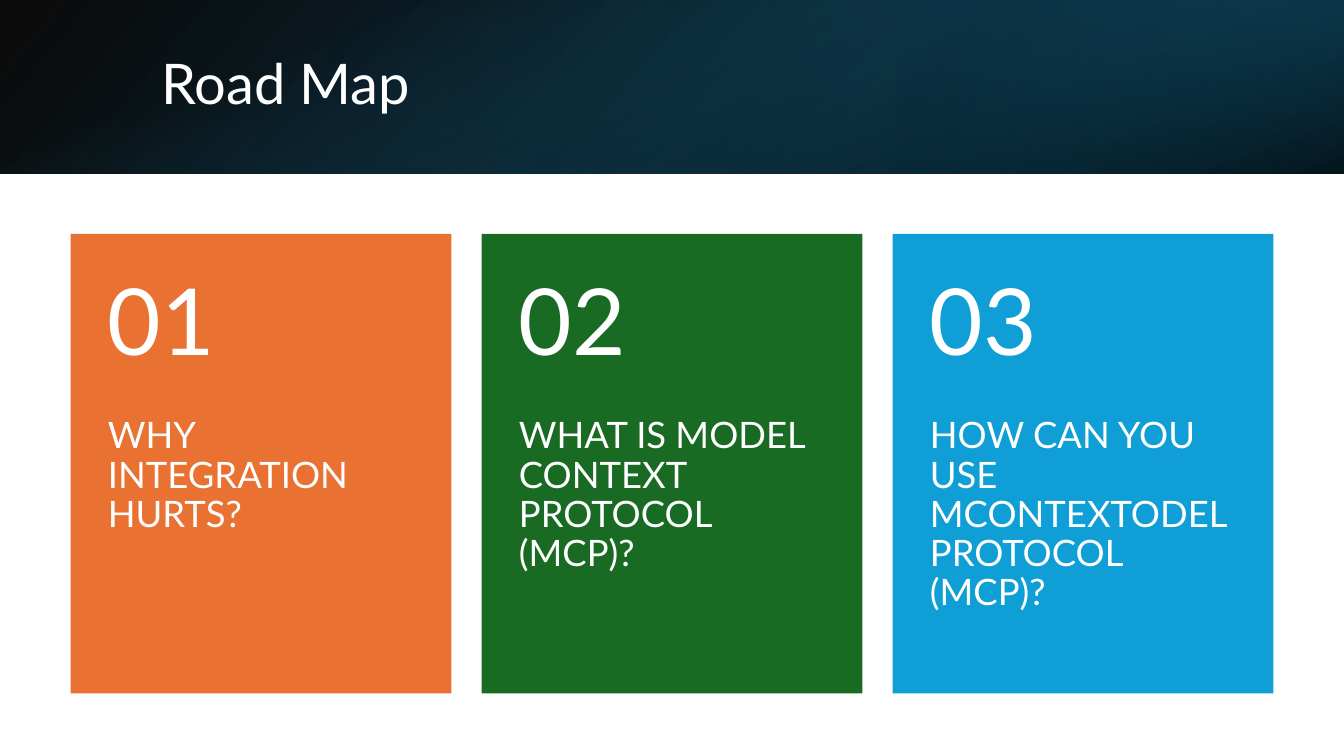
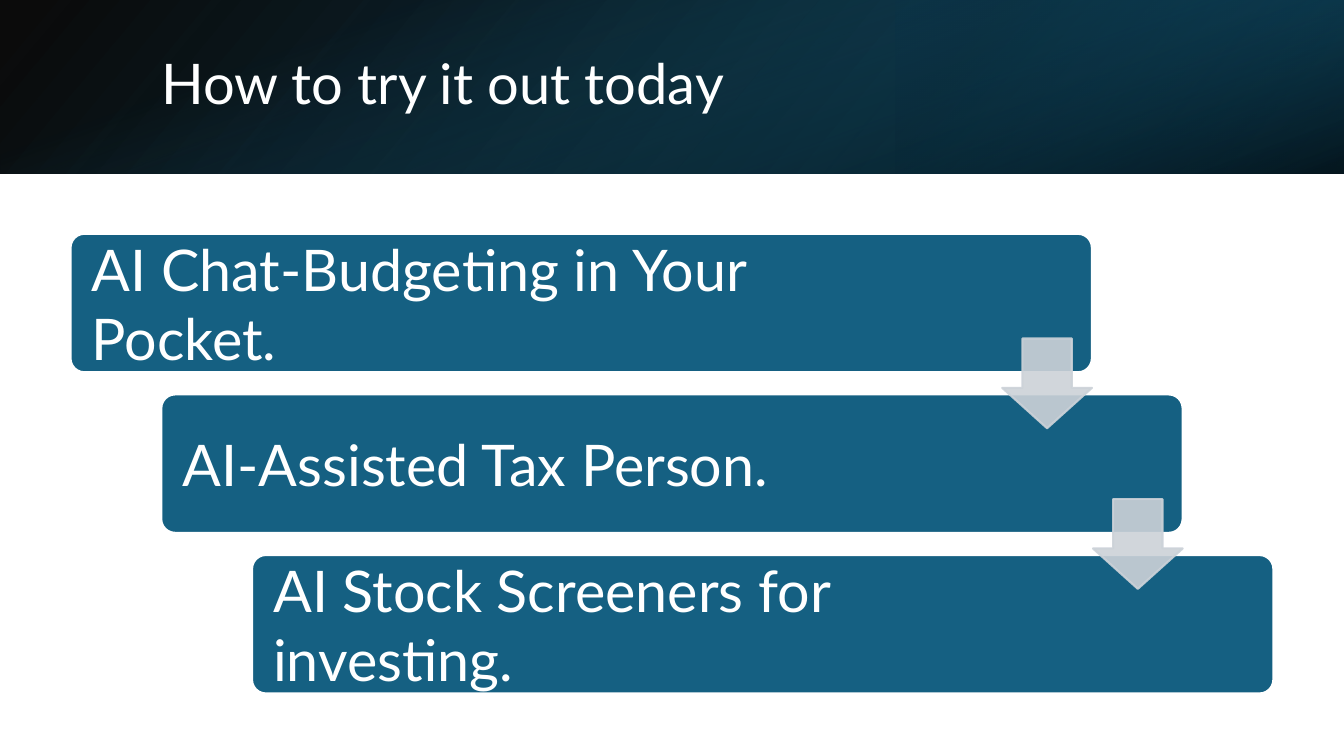
import pptx
import pptx.dml.color
import pptx.enum.shapes
import pptx.enum.text
import pptx.oxml
import pptx.oxml.ns
import pptx.util

SHAPE = pptx.enum.shapes.MSO_SHAPE
ANCHOR = pptx.enum.text.MSO_ANCHOR
ALIGN = pptx.enum.text.PP_ALIGN
inches = pptx.util.Inches

WIDTH, HEIGHT = 13.33, 7.5
BAND_HEIGHT = 0.23 * HEIGHT
MARGIN = 0.7
BODY_TOP, BODY_HEIGHT = 2.32, 4.56
USABLE = WIDTH - 2 * MARGIN
COUNT = 3
CARD_GAP, CARD_PAD, NUMBER_HEIGHT = 0.3, 0.37, 1.82
STEP_GAP, STEP_INDENT, STEP_PAD = 0.22, 0.9, 0.17
ARROW_SIZE = 0.89

FONT = "Lato"
WHITE, BLACK, TEAL, NAVY, DEEP = "FFFFFF", "000000", "156082", "0B3041", "104862"
ORANGE, GREEN, BLUE, GREY = "E97132", "196B24", "0F9ED5", "CCD2D8"

CARDS = [
    (ORANGE, "WHY INTEGRATION HURTS?"),
    (GREEN, "WHAT IS MODEL CONTEXT PROTOCOL (MCP)?"),
    (BLUE, "HOW CAN YOU USE MCONTEXTODEL PROTOCOL (MCP)?"),
]
STEPS = [
    "AI Chat-Budgeting in Your Pocket.",
    "AI-Assisted Tax Person.",
    "AI Stock Screeners for investing.",
]


def rgb(value):
    return pptx.dml.color.RGBColor.from_string(value)


def box(left, top, width, height):
    return [inches(v) for v in (left, top, width, height)]


def add_shape(s, kind, place, fill=None, line=None):
    sp = s.shapes.add_shape(kind, *box(*place))
    sp.shadow.inherit = False
    if fill:
        sp.fill.solid()
        sp.fill.fore_color.rgb = rgb(fill)
    if line:
        sp.line.color.rgb = rgb(line)
        sp.line.width = pptx.util.Pt(1.5)
    else:
        sp.line.fill.background()
    return sp


def set_text(sp, text, size, insets, anchor, spacing=0.9):
    tf = sp.text_frame
    tf.text = text
    tf.word_wrap = True
    tf.auto_size = pptx.enum.text.MSO_AUTO_SIZE.NONE
    tf.vertical_anchor = anchor
    tf.margin_left, tf.margin_top, tf.margin_right, tf.margin_bottom = box(*insets)
    p = tf.paragraphs[0]
    p.alignment = ALIGN.LEFT
    p.line_spacing = spacing
    r = p.runs[0]
    r.font.name = FONT
    r.font.size = pptx.util.Pt(size)
    r.font.color.rgb = rgb(WHITE)


def set_gradient(sp, stops, angle):
    stop_xml = "".join(
        f'<a:gs pos="{pos * 1000}"><a:srgbClr val="{color}">'
        f'<a:alpha val="{alpha * 1000}"/></a:srgbClr></a:gs>'
        for pos, color, alpha in stops
    )
    grad = pptx.oxml.parse_xml(
        f'<a:gradFill {pptx.oxml.ns.nsdecls("a")} rotWithShape="1">'
        f'<a:gsLst>{stop_xml}</a:gsLst>'
        f'<a:lin ang="{angle * 60000}" scaled="0"/></a:gradFill>'
    )
    sp.element.spPr.find(pptx.oxml.ns.qn("a:prstGeom")).addnext(grad)


def add_band(s, place, stops, angle, rotation=0, flip=False):
    sp = add_shape(s, SHAPE.RECTANGLE, place)
    set_gradient(sp, stops, angle)
    sp.rotation = rotation
    if flip:
        sp.element.spPr.xfrm.set("flipH", "1")


def set_alpha(sp, percent):
    for color in sp.element.spPr.iter(pptx.oxml.ns.qn("a:srgbClr")):
        color.append(pptx.oxml.parse_xml(
            f'<a:alpha {pptx.oxml.ns.nsdecls("a")} val="{percent * 1000}"/>'))


def add_titled_slide(prs, title):
    s = prs.slides.add_slide(prs.slide_layouts[5])
    add_band(s, (0, 0, WIDTH, BAND_HEIGHT),
             [(0, BLACK, 96), (100, DEEP, 100)], 140, flip=True)
    add_band(s, (WIDTH * 2 / 3, 0, WIDTH / 3, BAND_HEIGHT),
             [(19, NAVY, 68), (100, TEAL, 79)], 320, 180, True)
    offset = (WIDTH - BAND_HEIGHT) / 2
    add_band(s, (offset, -offset, BAND_HEIGHT, WIDTH),
             [(23, TEAL, 0), (99, BLACK, 74)], 340, 90)
    sp = s.shapes.title
    sp.left, sp.top, sp.width, sp.height = box(1.5, 0.38, 10.98, 0.96)
    set_text(sp, title, 40, (0.1, 0.05, 0.1, 0.05), ANCHOR.MIDDLE)
    sp.element.getparent().append(sp.element)
    return s


def add_card(s, column, color, label):
    width = (USABLE - (COUNT - 1) * CARD_GAP) / COUNT
    left = MARGIN + column * (width + CARD_GAP)
    card = add_shape(s, SHAPE.RECTANGLE, (left, BODY_TOP, width, BODY_HEIGHT), color)
    set_text(card, label, 26, (CARD_PAD, NUMBER_HEIGHT, CARD_PAD, CARD_PAD), ANCHOR.TOP)
    number = s.shapes.add_textbox(*box(left, BODY_TOP, width, NUMBER_HEIGHT))
    set_text(number, f"{column + 1:02}", 66, (CARD_PAD, 0.18, CARD_PAD, 0.18), ANCHOR.MIDDLE)


def step_place(row):
    height = (BODY_HEIGHT - (COUNT - 1) * STEP_GAP) / COUNT
    return (MARGIN + row * STEP_INDENT, BODY_TOP + row * (height + STEP_GAP),
            USABLE - (COUNT - 1) * STEP_INDENT, height)


def add_step(s, row, text):
    sp = add_shape(s, SHAPE.ROUNDED_RECTANGLE, step_place(row), TEAL, WHITE)
    sp.adjustments[0] = 0.1
    set_text(sp, text, 41, (STEP_PAD, STEP_PAD, 1.96, STEP_PAD), ANCHOR.MIDDLE, 1.0)


def add_step_arrow(s, row):
    left, top, width, height = step_place(row)
    place = (left + width - ARROW_SIZE,
             top + height + (STEP_GAP - ARROW_SIZE) / 2, ARROW_SIZE, ARROW_SIZE)
    sp = add_shape(s, SHAPE.DOWN_ARROW, place, GREY, GREY)
    sp.adjustments[0], sp.adjustments[1] = 0.55, 0.45
    set_alpha(sp, 90)


def main():
    prs = pptx.Presentation()
    prs.slide_width, prs.slide_height = inches(WIDTH), inches(HEIGHT)

    s = add_titled_slide(prs, "Road Map")
    for column, (color, label) in enumerate(CARDS):
        add_card(s, column, color, label)

    s = add_titled_slide(prs, "How to try it out today")
    for row, text in enumerate(STEPS):
        add_step(s, row, text)
    for row in range(COUNT - 1):
        add_step_arrow(s, row)

    prs.save("out.pptx")


if __name__ == "__main__":
    main()
